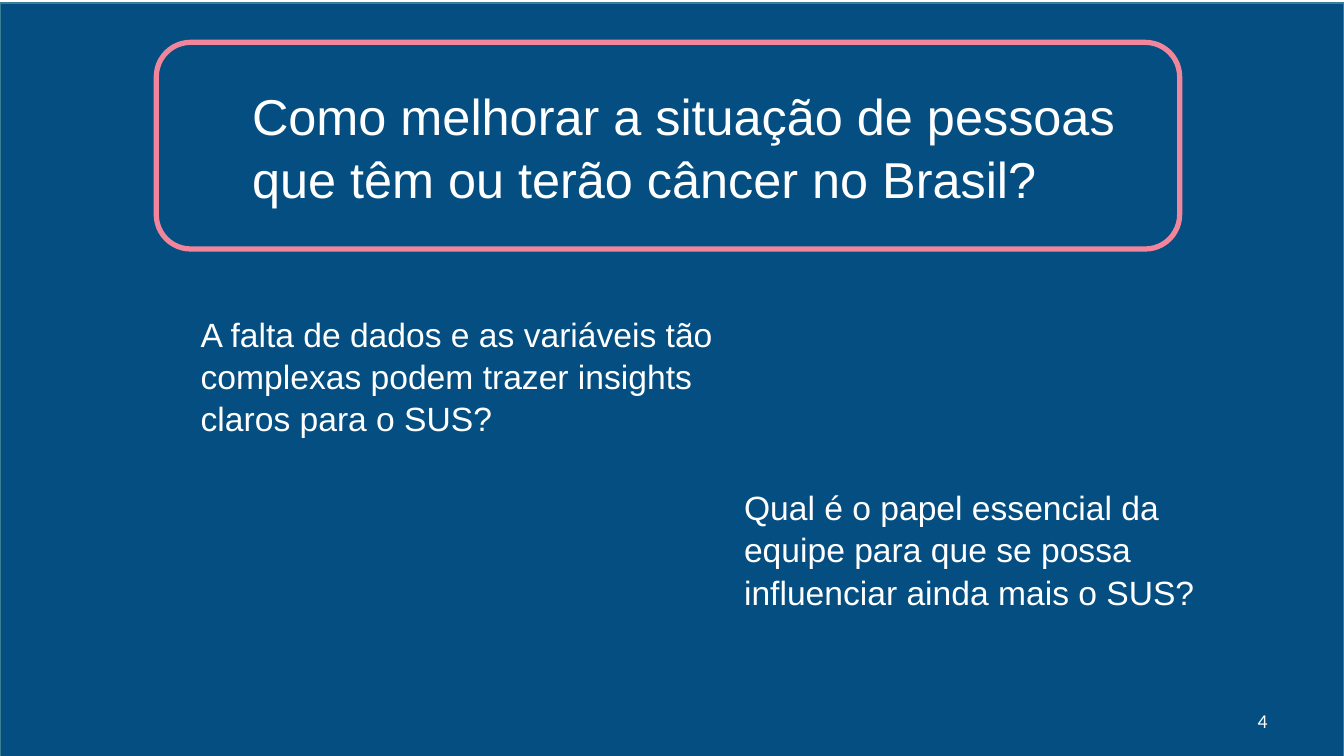
import pptx
import pptx.util
import pptx.dml.color
import pptx.enum.shapes
import pptx.enum.text
import pptx.oxml
import pptx.oxml.ns

Inches = pptx.util.Inches
Pt = pptx.util.Pt
ALIGN = pptx.enum.text.PP_ALIGN
ANCHOR = pptx.enum.text.MSO_ANCHOR
SHAPE = pptx.enum.shapes.MSO_SHAPE
WHITE = "FFFFFF"


def set_color(color_format, value):
    color_format.rgb = pptx.dml.color.RGBColor.from_string(value)


def place(sp, box):
    sp.left, sp.top, sp.width, sp.height = [Inches(v) for v in box]


def add_panel(s, kind, box, line, width, fill=None):
    sp = s.shapes.add_shape(kind, *[Inches(v) for v in box])
    sp.shadow.inherit = False
    if fill:
        sp.fill.solid()
        set_color(sp.fill.fore_color, fill)
    else:
        sp.fill.background()
    set_color(sp.line.color, line)
    sp.line.width = Pt(width)
    return sp


def write_text(sp, text, size, font="Arial", align=ALIGN.LEFT,
               anchor=ANCHOR.TOP, spacing=1.05):
    tf = sp.text_frame
    tf.word_wrap = True
    tf.auto_size = pptx.enum.text.MSO_AUTO_SIZE.NONE
    tf.vertical_anchor = anchor
    p = tf.paragraphs[0]
    p.alignment = align
    p.line_spacing = spacing
    p.space_before = Pt(0)
    r = p.add_run()
    r.text = text
    r.font.size = Pt(size)
    r.font.name = font
    set_color(r.font.color, WHITE)
    return p


def write_question(sp, box, text):
    place(sp, box)
    p = write_text(sp, text, 24)
    pPr = p._p.get_or_add_pPr()
    pPr.set("marL", str(Inches(0.5)))
    pPr.set("indent", "0")
    pPr.append(pptx.oxml.parse_xml(
        "<a:buNone %s/>" % pptx.oxml.ns.nsdecls("a")))


def main():
    prs = pptx.Presentation()
    prs.slide_width = Inches(13.33)
    prs.slide_height = Inches(7.5)
    s = prs.slides.add_slide(prs.slide_layouts.get_by_name("Two Content"))
    title, left, right = list(s.placeholders)[:3]

    backdrop = add_panel(s, SHAPE.RECTANGLE, (0, 0.03, 13.33, 7.48),
                         "377F92", 2, "044E81")
    frame = add_panel(s, SHAPE.ROUNDED_RECTANGLE, (1.55, 0.42, 10.15, 2.05),
                      "F1859C", 3.75)
    for sp in (backdrop, frame):
        title._element.addprevious(sp._element)

    place(title, (2.4, 0.76, 8.94, 1.5))
    write_text(title, "Como melhorar a situação de pessoas que têm ou terão "
               "câncer no Brasil?", 36)
    write_question(left, (1.39, 3.04, 5.91, 1.78),
                   "A falta de dados e as variáveis tão complexas podem "
                   "trazer insights claros para o SUS?")
    write_question(right, (6.78, 4.76, 5.34, 1.78),
                   "Qual é o papel essencial da equipe para que se possa "
                   "influenciar ainda mais o SUS?")

    number = s.shapes.add_textbox(Inches(9.56), Inches(6.95),
                                  Inches(3.11), Inches(0.4))
    write_text(number, "4", 14, "Calibri", ALIGN.RIGHT, ANCHOR.MIDDLE, 1.0)
    prs.save("out.pptx")


if __name__ == "__main__":
    main()
